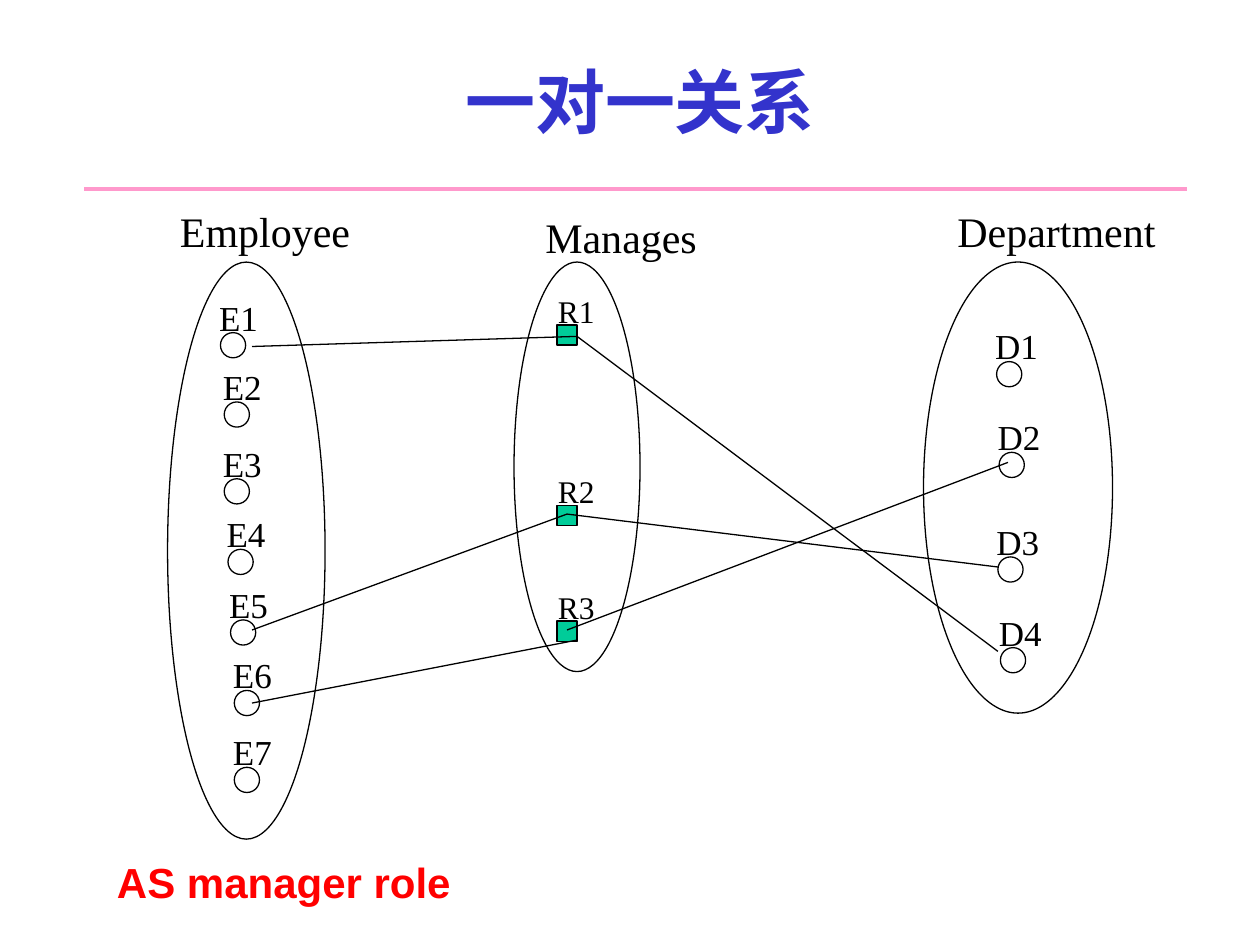
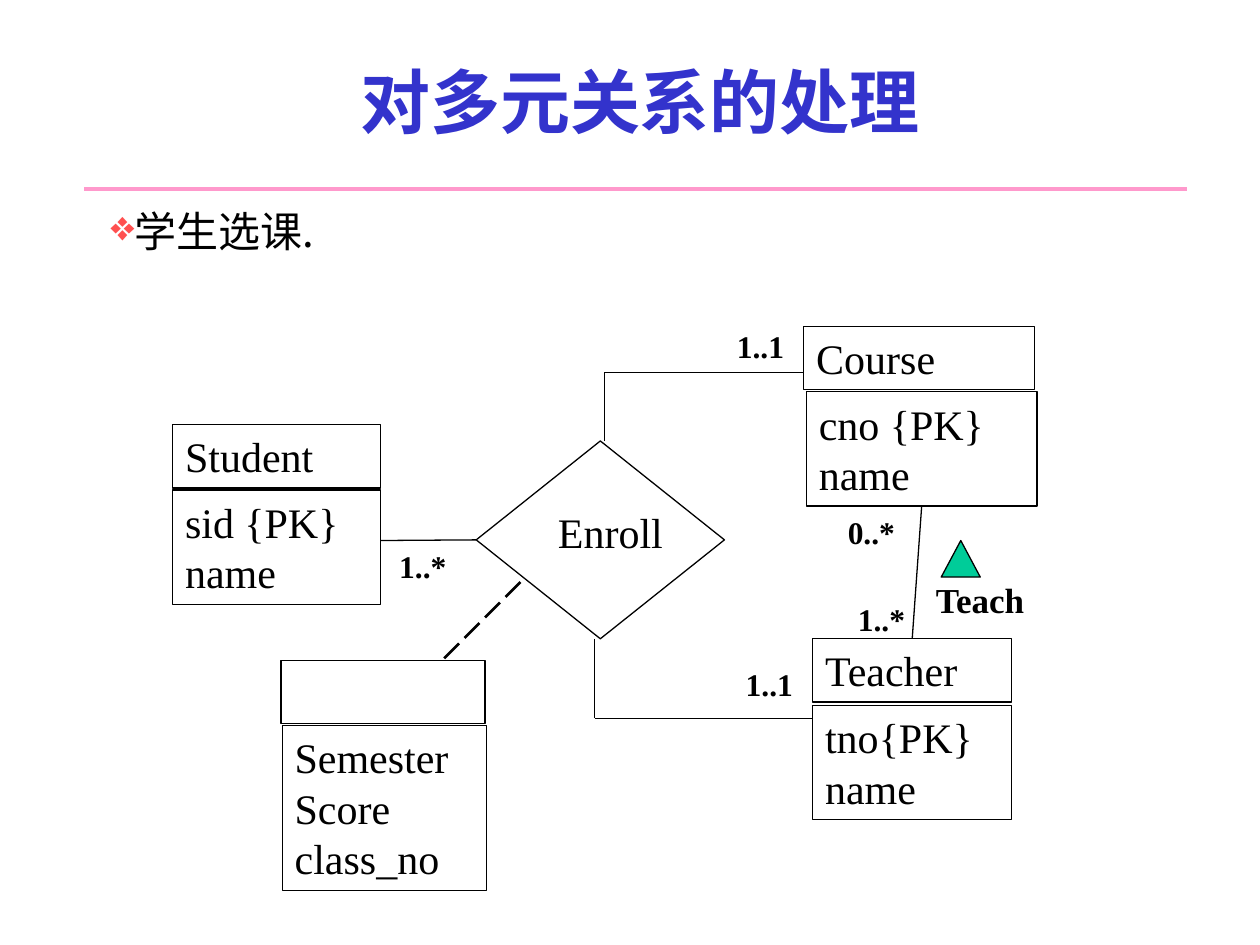
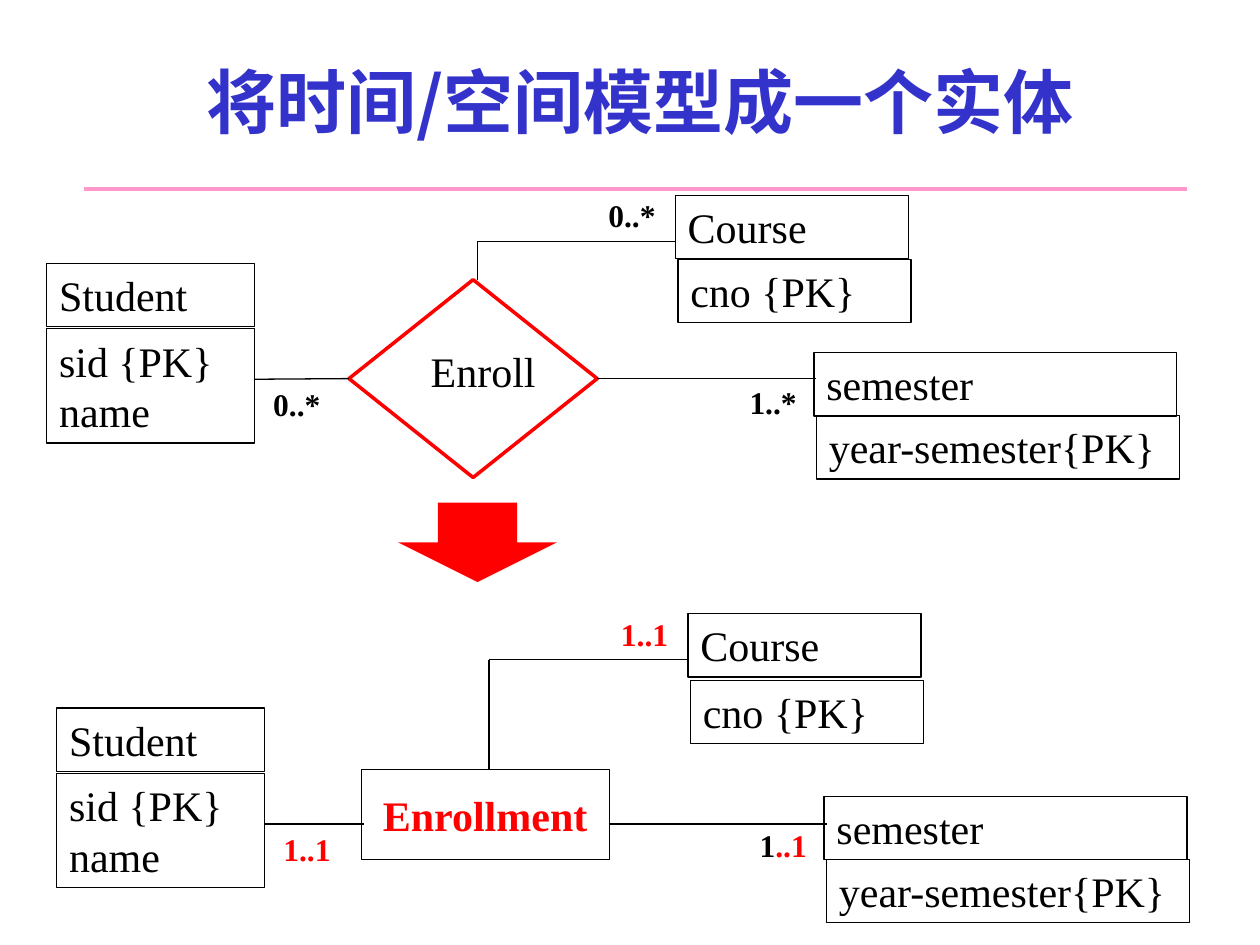
from dataclasses import dataclass

from lxml.etree import SubElement
from pptx import Presentation
from pptx.dml.color import RGBColor
from pptx.enum.dml import MSO_LINE_DASH_STYLE as Dash
from pptx.enum.shapes import MSO_CONNECTOR as Connector, MSO_SHAPE as Shape
from pptx.enum.text import MSO_ANCHOR as Anchor, PP_ALIGN as Align
from pptx.oxml.ns import qn
from pptx.util import Inches, Pt


@dataclass(frozen=True)
class Theme:
    ink: str = "000000"
    title: str = "3333CC"
    rule: str = "FF99CC"
    red: str = "FF0000"
    bullet: str = "FF5050"
    green: str = "00CC99"
    serif: str = "Times New Roman"
    sans: str = "Arial"
    cjk: str = "Noto Sans CJK SC"
    title_size: int = 40
    text_size: int = 24
    member_size: int = 20
    small_size: int = 18
    thin: float = 0.75
    dashed: float = 1.5
    thick: float = 2


THEME = Theme()
COLUMNS, ROWS = 100, 75
CELL = Inches(10) // COLUMNS
TOP, LEFT, BOTTOM, RIGHT = range(4)


@dataclass(frozen=True)
class Box:
    """An area of the slide in grid columns and rows."""
    col: float
    row: float
    width: float = 0
    height: float = 0

    def inner(self, col, row, width=0, height=0):
        return Box(self.col + col, self.row + row, width, height)

    def frame(self):
        return [round(v * CELL) for v in (self.col, self.row, self.width, self.height)]


def set_all(target, values):
    for name, value in values.items():
        setattr(target, name, value)


def text_height(size, lines=1):
    return 1 + lines * size * 0.168


# ---- basic pieces ----

def write(shape, lines, size=THEME.text_size, font=THEME.serif, color=THEME.ink,
          bold=False, align=Align.LEFT, anchor=Anchor.TOP, wrap=True):
    """Each line is a string or a list of (text, colour) spans."""
    frame = shape.text_frame
    set_all(frame, dict(word_wrap=wrap, vertical_anchor=anchor))
    for index, line in enumerate(lines):
        para = frame.add_paragraph() if index else frame.paragraphs[0]
        para.alignment = align
        for text, tint in [(line, color)] if isinstance(line, str) else line:
            span = para.add_run()
            span.text = text
            set_all(span.font, dict(name=font, size=Pt(size), bold=bold))
            span.font.color.rgb = RGBColor.from_string(tint)
            SubElement(span.font._element, qn("a:ea")).set("typeface", font)
    return frame


def add_text(page, box, lines, **style):
    return write(page.shapes.add_textbox(*box.frame()), lines, **style)


def add_label(page, box, text, size=THEME.text_size, **style):
    area = box.inner(0, 0, box.width, text_height(size))
    add_text(page, area, [text], size=size, wrap=False, **style)


def add_tag(page, box, text, **style):
    """Multiplicity at the end of a link."""
    add_label(page, box.inner(0, 0, 5.75), text, size=THEME.small_size, bold=True, **style)


def set_line(line, color, width):
    line.color.rgb = RGBColor.from_string(color)
    line.width = Pt(width)


def add_figure(page, kind, box, fill=None, line=THEME.ink, width=THEME.thin):
    figure = page.shapes.add_shape(kind, *box.frame())
    figure.shadow.inherit = False
    if fill:
        figure.fill.solid()
        figure.fill.fore_color.rgb = RGBColor.from_string(fill)
    else:
        figure.fill.background()
    if line:
        set_line(figure.line, line, width)
    else:
        figure.line.fill.background()
    return figure


def add_link(page, start, end, color=THEME.ink, width=THEME.thin, dash=None,
             begin=None, finish=None):
    """Straight line between grid points; begin and finish are (shape, side)."""
    ends = [round(value * CELL) for value in (*start, *end)]
    link = page.shapes.add_connector(Connector.STRAIGHT, *ends)
    set_line(link.line, color, width)
    if dash:
        link.line.dash_style = dash
    SubElement(link._element.spPr, qn("a:effectLst"))
    if begin:
        link.begin_connect(*begin)
    if finish:
        link.end_connect(*finish)


def add_page(deck, title):
    """Blank page with the shared title and the rule below it."""
    page = deck.slides.add_slide(deck.slide_layouts[6])
    add_link(page, (6.7, 15), (94.2, 15), THEME.rule, THEME.thick)
    add_text(page, Box(8.3, 1.7, 85, 12.5), [title], size=THEME.title_size,
             font=THEME.cjk, color=THEME.title, bold=True, align=Align.CENTER,
             anchor=Anchor.MIDDLE)
    return page


# ---- sets and their members ----

def draw_set(page, box, heading, heading_box, letter, spots, kind, side,
             label, size, fill=None):
    """Oval with numbered members; spots and heading are relative to the box."""
    add_figure(page, Shape.OVAL, box)
    for number, spot in enumerate(spots, 1):
        marker = box.inner(*spot, side, side)
        add_figure(page, kind, marker, fill)
        add_label(page, marker.inner(*label), f"{letter}{number}", size)
    add_label(page, box.inner(*heading_box), heading)


def one_to_one(deck):
    page = add_page(deck, "一对一关系")
    dot = dict(kind=Shape.OVAL, side=2, size=THEME.member_size)
    draw_set(page, Box(13.3, 20.8, 12.5, 45.8), "Employee", (0, -5, 16.3), "E",
             [(4.2, 5.6), (4.5, 11.1), (4.5, 17.2), (4.8, 22.8), (5, 28.4),
              (5.3, 34), (5.3, 40.1)], label=(-1.1, -3.4, 5.1), **dot)
    draw_set(page, Box(40.8, 20.8, 10, 32.5), "Manages", (1.5, -4.5, 14), "R",
             [(3.4, 5), (3.4, 19.3), (3.4, 28.5)], Shape.RECTANGLE, 1.6,
             (-0.9, -3.1, 4.9), THEME.small_size, THEME.green)
    draw_set(page, Box(73.3, 20.8, 15, 35.8), "Department", (1.7, -5, 17.7), "D",
             [(5.8, 7.9), (6, 15.1), (5.9, 23.4), (6.1, 30.6)],
             label=(-1.1, -3.4, 5.4), **dot)
    # employee to relationship to department
    for employee, arrival, departure, department in [
            ((20, 27.5), (45.8, 26.7), (45.8, 26.7), (79.2, 51.7)),
            ((20, 50), (45, 40.8), (45, 40.8), (79.2, 45)),
            ((20, 55.8), (45.8, 50.8), (45, 50), (80, 36.7))]:
        add_link(page, employee, arrival)
        add_link(page, departure, department)
    add_label(page, Box(8.3, 67.5, 28.5), "AS manager role", font=THEME.sans,
              color=THEME.red, bold=True)


# ---- entity diagrams ----

def draw_entity(page, box, name, fields, drop=5.2, shift=0):
    """Name box over a field box; returns the pair."""
    header = add_figure(page, Shape.RECTANGLE,
                        box.inner(0, 0, box.width, text_height(THEME.text_size)))
    if name:
        write(header, [name])
    body = add_figure(page, Shape.RECTANGLE, box.inner(
        shift, drop, box.width, text_height(THEME.text_size, len(fields))))
    write(body, fields)
    return header, body


def draw_student(page, box, tag, color=THEME.ink, hub=None):
    """Student with its link to the hub on the right."""
    draw_entity(page, box.inner(0, 0, 16.5), "Student", ["sid {PK}", "name"])
    link = box.inner(16.5, 9.2)
    add_link(page, (link.col, link.row), (link.col + 7.9, link.row),
             finish=(hub, LEFT) if hub else None)
    add_tag(page, link.inner(0.5, 0), tag, color=color)


def draw_diamond(page, box, color=THEME.ink, width=THEME.thin):
    """Enroll relationship."""
    add_label(page, box.inner(5.5, 4.7, 10.3), "Enroll")
    return add_figure(page, Shape.DIAMOND, box, line=color, width=width)


def draw_elbow(page, start, corner, end):
    add_link(page, start, corner)
    add_link(page, corner, end)


def draw_course(page, box, fields, tag, hub_top, color=THEME.ink, drop=5.2):
    """Course with an elbow line down to the top of the hub."""
    pair = draw_entity(page, box, "Course", fields, drop, 0.2)
    bend = box.row + 3.65
    draw_elbow(page, hub_top, (hub_top[0], bend), (box.col, bend))
    add_tag(page, box.inner(-6.3, -0.4), tag, color=color)
    return pair


def draw_semester(page, box, link_start, tag, hub=None):
    draw_entity(page, box.inner(0, 0, 28.8), "semester", ["year-semester{PK}"], 5, 0.2)
    add_link(page, link_start, (box.col + 0.2, link_start[1]),
             begin=(hub, RIGHT) if hub else None)
    add_tag(page, box.inner(-6.1, 1.9), tag)


def draw_topic(page, box, text):
    """Bulleted line below the title rule."""
    frame = add_text(page, box, [text], font=THEME.cjk)
    para = frame.paragraphs[0]
    para.space_before = Pt(2.4)
    props = para._p.get_or_add_pPr()
    for name, value in dict(marL=0, indent=Inches(0.53)).items():
        props.set(name, str(value))
    tint = SubElement(props, qn("a:buClr"))
    SubElement(tint, qn("a:srgbClr")).set("val", THEME.bullet)
    SubElement(props, qn("a:buChar")).set("char", "❖")


def draw_teaching(page, box, course, teacher):
    """Teach link between course and teacher, with its direction mark."""
    add_link(page, (box.col, box.row), (box.col, box.row + 10.5),
             begin=(course, BOTTOM), finish=(teacher, TOP))
    add_label(page, box.inner(0.4, 5.2, 9), "Teach", THEME.member_size, bold=True)
    mark = add_figure(page, Shape.FLOWCHART_MERGE, box.inner(1.8, 2.7, 3.1, 2.9),
                      THEME.green)
    mark.rotation = 180
    add_tag(page, box.inner(-6.6, 0), "0..*")
    add_tag(page, box.inner(-5.8, 6.9), "1..*")


def many_way(deck):
    page = add_page(deck, "对多元关系的处理")
    draw_topic(page, Box(2.5, 15.8, 93.7, 6.4), "学生选课.")
    diamond = draw_diamond(page, Box(37.8, 35, 19.7, 15.7))
    draw_student(page, Box(13.7, 33.7), "1..*", hub=diamond)
    course = draw_course(page, Box(63.8, 25.9, 18.3), ["cno {PK}", "name"],
                         "1..1", (48, 35))
    # teacher
    teacher = draw_entity(page, Box(64.5, 50.7, 15.8), "Teacher",
                          ["tno{PK}", "name"], 5.3)
    draw_elbow(page, (47.2, 50.7), (47.2, 57), (64.5, 57))
    add_tag(page, Box(58.2, 52.3), "1..1")
    draw_teaching(page, Box(72.9, 40.2), course[1], teacher[0])
    # attributes of the relationship
    draw_entity(page, Box(22.3, 52.4, 16.2), "", ["Semester", "Score", "class_no"], 5.2, 0.1)
    add_link(page, (41.3, 46.2), (35, 52.5), width=THEME.dashed, dash=Dash.LONG_DASH)


def draw_before(page, box):
    """Enroll as a relationship of three entities."""
    hub = box.inner(24, 1.3, 19.7, 15.7)
    diamond = draw_diamond(page, hub, THEME.red, THEME.thick)
    draw_student(page, box, "0..*", hub=diamond)
    draw_course(page, box.inner(49.9, -5.4, 18.5), ["cno {PK}"], "0..*",
                (hub.col + 10.2, hub.row), drop=5.1)
    draw_semester(page, box.inner(60.9, 7.1), (hub.col + hub.width, hub.row + 7.85),
                  "1..*", diamond)


def draw_after(page, box):
    """Enrollment as an entity of its own."""
    hub = box.inner(24.2, 4.9, 19.7, 7.1)
    add_label(page, hub.inner(0.7, 1.1, 18.2), "Enrollment", color=THEME.red, bold=True)
    add_figure(page, Shape.RECTANGLE, hub)
    draw_student(page, box, "1..1", THEME.red)
    draw_course(page, box.inner(50.1, -7.5, 18.5), ["cno {PK}"], "1..1",
                (hub.col + 10.1, hub.row - 0.1), THEME.red, 5.3)
    draw_semester(page, box.inner(60.9, 7), (hub.col + 19.6, hub.row + 4.3),
                  [("1", THEME.ink), ("..1", THEME.red)])


def time_as_entity(deck):
    page = add_page(deck, "将时间/空间模型成一个实体")
    draw_before(page, Box(3.7, 20.9))
    add_figure(page, Shape.DOWN_ARROW, Box(31.6, 39.9, 12.6, 6.3), THEME.red, None)
    draw_after(page, Box(4.5, 56.2))


def main():
    deck = Presentation()
    set_all(deck, dict(slide_width=COLUMNS * CELL, slide_height=ROWS * CELL))
    for build in (one_to_one, many_way, time_as_entity):
        build(deck)
    deck.save("out.pptx")


if __name__ == "__main__":
    main()
